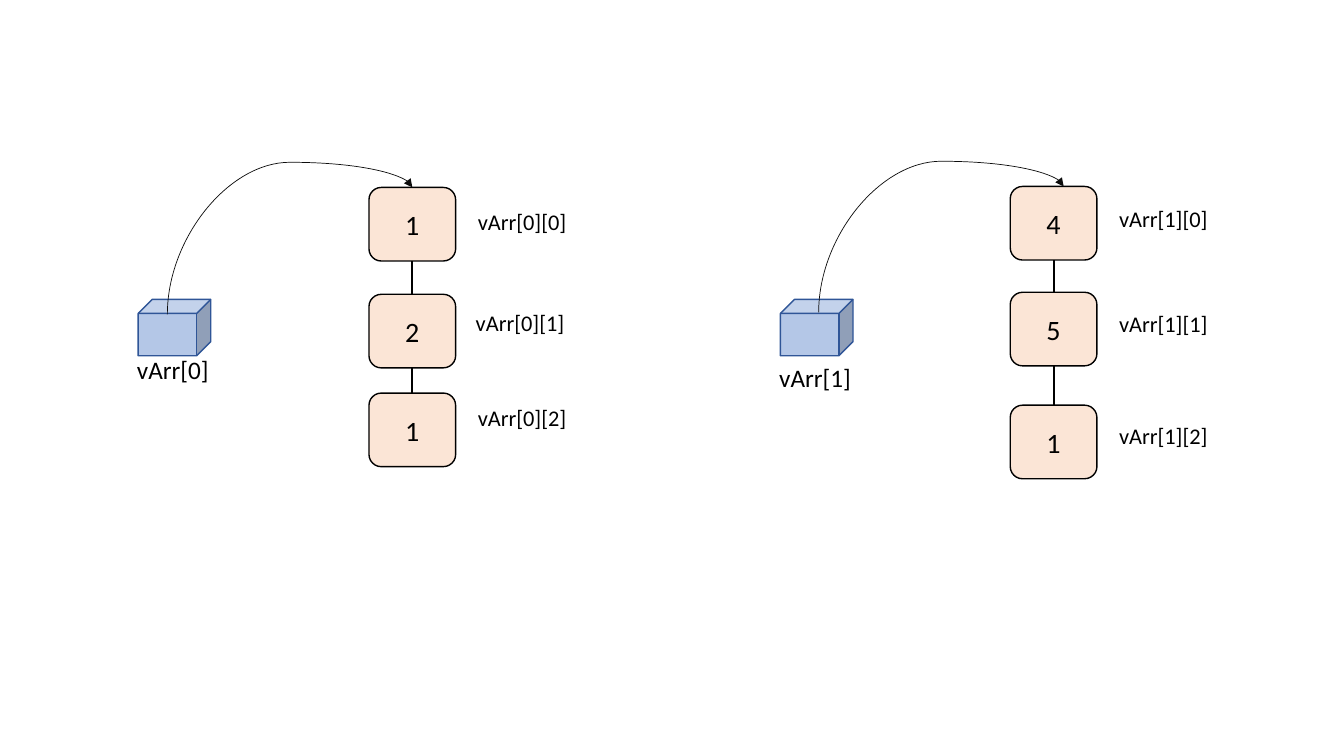
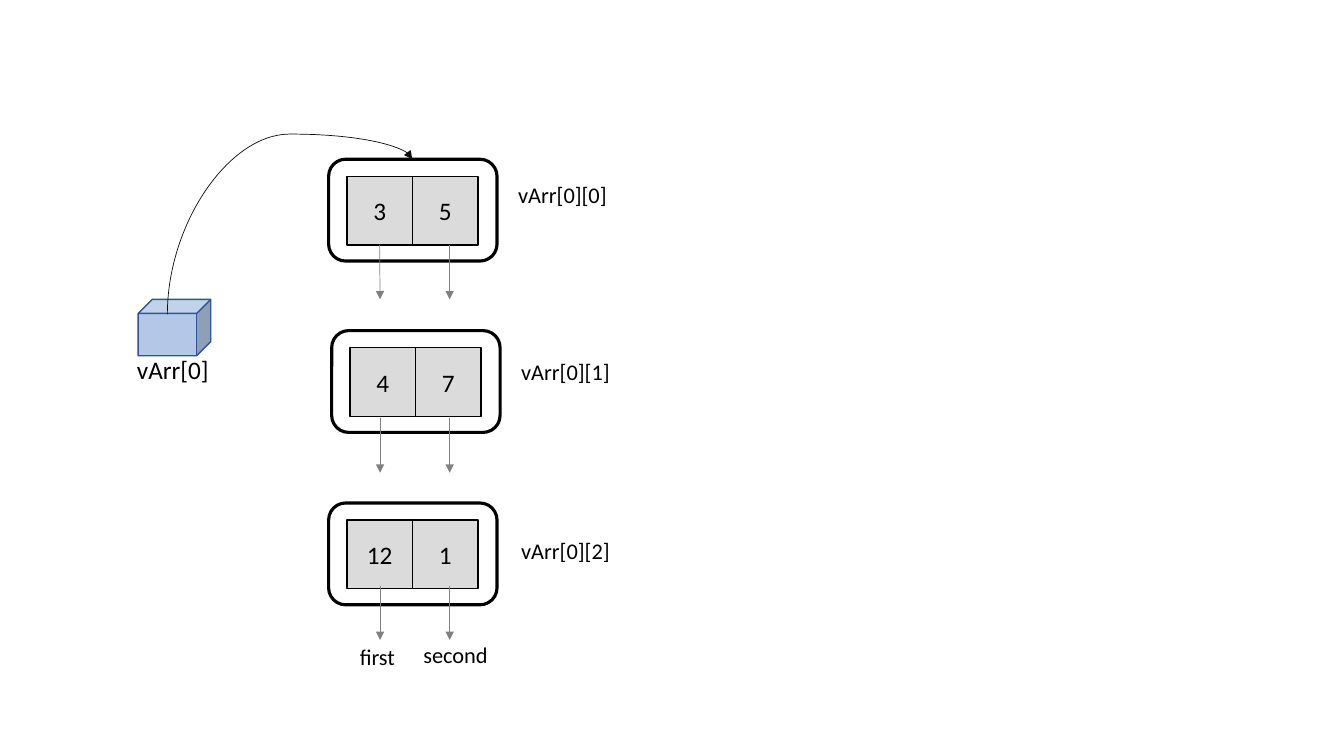
from lxml import etree
from pptx import Presentation
from pptx import util as u
from pptx.dml.color import RGBColor
from pptx.enum import shapes, text
from pptx.oxml.ns import qn

PX = 9144  # 100 px to the inch
FONT = "Calibri"
BLACK = "000000"
CURVE_INK = "0D0D0D"
GRAY = "808080"
CUBE_FILL, CUBE_LINE = "B4C7E7", "2F5597"
NODE_FILL = "FBE5D6"
CELL_FILL = "DBDBDB"
CURVE_LIFT = 25

NODE_WIDTH, NODE_HEIGHT = 86, 73
FRAME_WIDTH, FRAME_HEIGHT = 167, 101
CELL_WIDTH, CELL_HEIGHT = 65, 68
CELL_INSET_X, CELL_INSET_Y = 18, 17
ARROW_XS, ARROW_LENGTH = (377, 446), 54


def px(value):
    return u.Emu(round(value * PX))


def color(hex_string):
    return RGBColor.from_string(hex_string)


def write(shape, words, size, align=text.PP_ALIGN.LEFT):
    para = shape.text_frame.paragraphs[0]
    para.alignment = align
    span = para.add_run()
    span.text = words
    span.font.name = FONT
    span.font.size = u.Pt(size)
    span.font.color.rgb = color(BLACK)


def add_label(page, words, left, top, width, height=37, size=16):
    box = page.shapes.add_textbox(px(left), px(top), px(width), px(height))
    box.text_frame.word_wrap = True
    box.text_frame.auto_size = text.MSO_AUTO_SIZE.SHAPE_TO_FIT_TEXT
    write(box, words, size)


def add_box(page, kind, left, top, width, height, fill=None, line=BLACK,
            line_width=1, words="", size=18):
    box = page.shapes.add_shape(kind, px(left), px(top), px(width), px(height))
    box.shadow.inherit = False
    if fill:
        box.fill.solid()
        box.fill.fore_color.rgb = color(fill)
    else:
        box.fill.background()
    box.line.color.rgb = color(line)
    box.line.width = u.Pt(line_width)
    if words:
        box.text_frame.vertical_anchor = text.MSO_ANCHOR.MIDDLE
        write(box, words, size, text.PP_ALIGN.CENTER)
    return box


def add_line(page, start, end, ink=BLACK, width=1.5, arrow=False,
             kind=shapes.MSO_CONNECTOR.STRAIGHT):
    line = page.shapes.add_connector(kind, px(start[0]), px(start[1]),
                                     px(end[0]), px(end[1]))
    line.line.color.rgb = color(ink)
    line.line.width = u.Pt(width)
    if arrow:
        outline = line.line._get_or_add_ln()
        etree.SubElement(outline, qn("a:tailEnd"), type="triangle")
    etree.SubElement(line._element.spPr, qn("a:effectLst"))
    return line


def add_pointer(page, start, end):
    """Curved arrow that rises from start, passes above end and drops onto it."""
    run, rise = end[0] - start[0], start[1] - end[1]
    middle_x, middle_y = (start[0] + end[0]) / 2, (start[1] + end[1]) / 2
    # A quarter turn swaps the sides, so the unturned frame is rise by run.
    line = add_line(page, (middle_x + rise / 2, middle_y + run / 2),
                    (middle_x - rise / 2, middle_y - run / 2),
                    CURVE_INK, 0.5, True, shapes.MSO_CONNECTOR.CURVE)
    properties = line._element.spPr
    properties.find(qn("a:xfrm")).set("rot", "5400000")
    geometry = properties.find(qn("a:prstGeom"))
    geometry.set("prst", "curvedConnector3")
    guides = geometry.find(qn("a:avLst"))
    if guides is None:
        guides = etree.SubElement(geometry, qn("a:avLst"))
    bend = round(100000 * (1 + CURVE_LIFT / rise))
    etree.SubElement(guides, qn("a:gd"), name="adj1", fmla=f"val {bend}")


def add_cube(page, index, left, label_top):
    add_box(page, shapes.MSO_SHAPE.CUBE, left, 297, 72, 56, CUBE_FILL, CUBE_LINE)
    add_label(page, f"vArr[{index}]", left - 11, label_top, 94, 40, 18)


def add_chain(page, index, left, nodes):
    """Linked column of nodes, each given as value, top, label left, label top."""
    previous = None
    for position, (value, top, label_left, label_top) in enumerate(nodes):
        node = add_box(page, shapes.MSO_SHAPE.ROUNDED_RECTANGLE, left, top,
                       NODE_WIDTH, NODE_HEIGHT, NODE_FILL, words=value, size=20)
        add_label(page, f"vArr[{index}][{position}]", label_left, label_top, 109)
        if previous is not None:
            link = add_line(page, (left, top), (left, top))
            link.begin_connect(previous, 2)
            link.end_connect(node, 0)
        previous = node


def add_pair(page, values, left, top, arrow_top):
    """Framed pair of cells with an arrow down from each."""
    add_box(page, shapes.MSO_SHAPE.ROUNDED_RECTANGLE, left, top,
            FRAME_WIDTH, FRAME_HEIGHT, line_width=2.25)
    cell_top = top + CELL_INSET_Y
    for column, (value, arrow_x) in enumerate(zip(values, ARROW_XS)):
        cell_left = left + CELL_INSET_X + column * CELL_WIDTH
        cell = add_box(page, shapes.MSO_SHAPE.RECTANGLE, cell_left, cell_top,
                       CELL_WIDTH, CELL_HEIGHT, CELL_FILL, words=value)
        arrow = add_line(page, (arrow_x, arrow_top),
                         (arrow_x, arrow_top + ARROW_LENGTH), GRAY, 0.5, True)
        at_middle = abs(arrow_x - cell_left - CELL_WIDTH / 2) < 1
        if at_middle and arrow_top == cell_top + CELL_HEIGHT:
            arrow.begin_connect(cell, 2)


def build_chains(page):
    add_cube(page, 0, 137, 347)
    add_chain(page, 0, 366, [("1", 186, 464, 202), ("2", 292, 462, 302),
                             ("1", 390, 464, 396)])
    add_pointer(page, (166, 312), (409, 186))
    add_cube(page, 1, 774, 355)
    add_chain(page, 1, 1002, [("4", 185, 1100, 199), ("5", 290, 1100, 303),
                              ("1", 402, 1100, 414)])
    add_pointer(page, (812, 310), (1055, 185))


def build_pairs(page):
    add_cube(page, 0, 137, 347)
    rows = [(("3", "5"), 326, 158, 243, 504, 175),
            (("4", "7"), 329, 328, 415, 507, 350),
            (("12", "1"), 326, 499, 581, 507, 528)]
    for position, (values, left, top, arrow_top, label_left, label_top) in enumerate(rows):
        add_pair(page, values, left, top, arrow_top)
        add_label(page, f"vArr[0][{position}]", label_left, label_top, 109)
    add_label(page, "first", 347, 633, 67)
    add_label(page, "second", 410, 631, 97)
    add_pointer(page, (166, 312), (409, 158))


def main():
    deck = Presentation()
    deck.slide_width, deck.slide_height = px(1333), px(750)
    blank = deck.slide_layouts[6]
    for build in (build_chains, build_pairs):
        build(deck.slides.add_slide(blank))
    deck.save("out.pptx")


if __name__ == "__main__":
    main()
